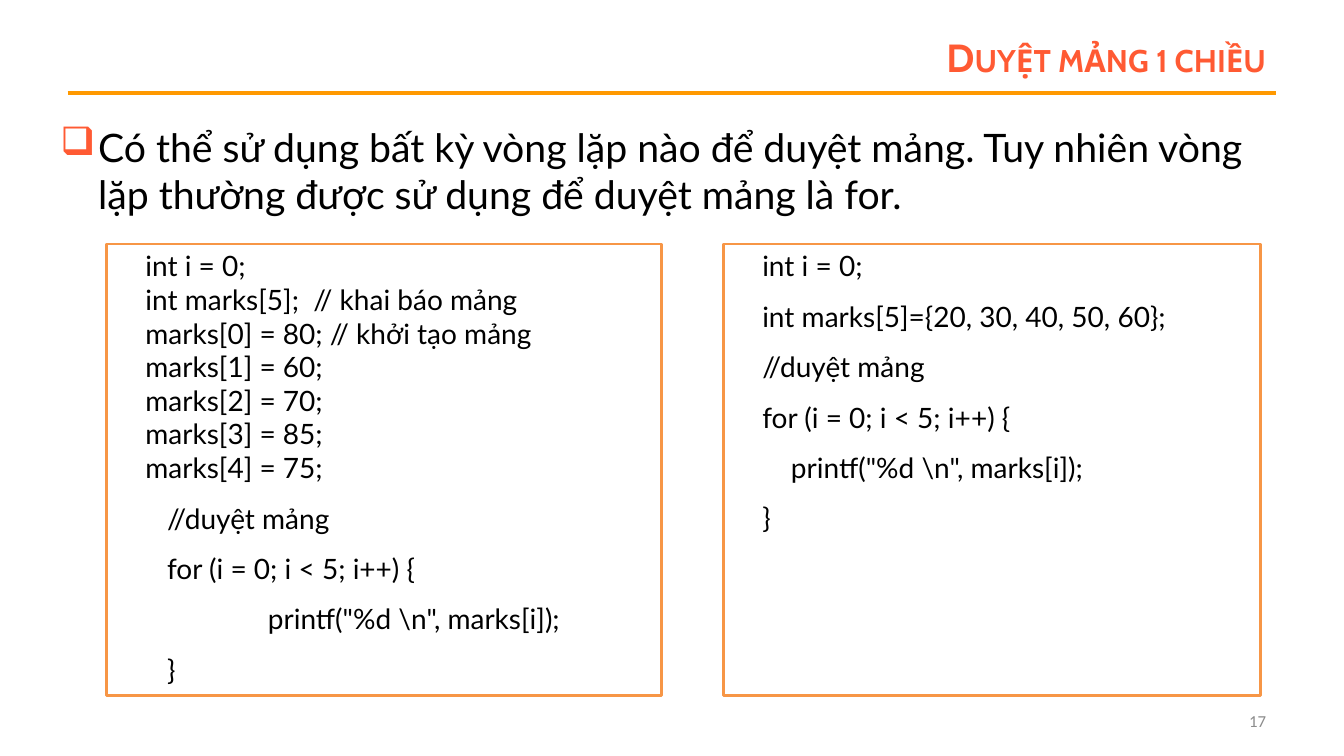
import pptx
import pptx.dml.color
import pptx.enum.shapes
import pptx.enum.text
import pptx.util
import lxml.etree

Pt = pptx.util.Pt
ALIGN = pptx.enum.text.PP_ALIGN
ANCHOR = pptx.enum.text.MSO_ANCHOR
DRAWING = "{http://schemas.openxmlformats.org/drawingml/2006/main}"

TITLE_FONT = {"name": "Cabin", "size": Pt(28), "bold": True}
BODY_FONT = {"name": "Lato", "size": Pt(28)}
CODE_FONT = {"name": "Lato", "size": Pt(20)}
NUMBER_FONT = {"name": "Calibri", "size": Pt(12)}

DECLARED_CODE = [
    ("    int i = 0;", 1),
    ("    int marks[5];  // khai báo mảng", 1),
    ("    marks[0] = 80; // khởi tạo mảng", 1),
    ("    marks[1] = 60;", 1),
    ("    marks[2] = 70;", 1),
    ("    marks[3] = 85;", 1),
    ("    marks[4] = 75;", 1),
    ("\t//duyệt mảng", 1.5),
    ("\tfor (i = 0; i < 5; i++) {", 1.5),
    ("        \t\tprintf(\"%d \\n\", marks[i]);", 1.5),
    ("\t}", 1.5),
]
INITIALIZED_CODE = [
    ("    int i = 0;", 1),
    ("    int marks[5]={20, 30, 40, 50, 60};", 1.5),
    ("    //duyệt mảng", 1.5),
    ("    for (i = 0; i < 5; i++) {", 1.5),
    ("        printf(\"%d \\n\", marks[i]);", 1.5),
    ("    }", 1.5),
]


def color(value):
    return pptx.dml.color.RGBColor.from_string(value)


def add_span(para, text, values, shade):
    span = para.add_run()
    span.text = text
    for name, value in values.items():
        setattr(span.font, name, value)
    span.font.color.rgb = color(shade)
    return span


def add_text_box(page, box, anchor, align):
    frame = page.shapes.add_textbox(*map(Pt, box)).text_frame
    frame.word_wrap = True
    frame.vertical_anchor = anchor
    para = frame.paragraphs[0]
    para.alignment = align
    return para


def add_header(page, box):
    left, top, width, height = box
    rule_left, rule_right, rule_y = left - 167.76, left + width, top + height + 6.5
    rule = page.shapes.add_connector(
        pptx.enum.shapes.MSO_CONNECTOR.STRAIGHT,
        Pt(rule_left), Pt(rule_y), Pt(rule_right), Pt(rule_y))
    rule.line.color.rgb = color("FF9900")
    rule.line.width = Pt(3)
    lxml.etree.SubElement(rule._element.spPr, DRAWING + "effectLst")

    para = add_text_box(page, box, ANCHOR.MIDDLE, ALIGN.RIGHT)
    span = add_span(para, "Duyệt mảng 1 chiều", TITLE_FONT, "FF5A33")
    span.font._element.set("cap", "small")


def add_bullet_text(page, box, text):
    para = add_text_box(page, box, ANCHOR.TOP, ALIGN.LEFT)
    properties = para._p.get_or_add_pPr()
    properties.set("marL", str(Pt(27)))
    properties.set("indent", str(Pt(-27)))
    bullet_color = lxml.etree.SubElement(properties, DRAWING + "buClr")
    lxml.etree.SubElement(bullet_color, DRAWING + "srgbClr", val="FF5A33")
    lxml.etree.SubElement(properties, DRAWING + "buChar", char="❑")
    add_span(para, text, BODY_FONT, "000000")


def add_code_panel(page, box, code):
    panel = page.shapes.add_shape(
        pptx.enum.shapes.MSO_SHAPE.RECTANGLE, *map(Pt, box))
    panel.shadow.inherit = False
    panel.fill.solid()
    panel.fill.fore_color.rgb = color("FFFFFF")
    panel.line.color.rgb = color("F79646")
    panel.line.width = Pt(2)
    frame = panel.text_frame
    frame.word_wrap = True
    frame.vertical_anchor = ANCHOR.TOP
    for index, (text, spacing) in enumerate(code):
        para = frame.add_paragraph() if index else frame.paragraphs[0]
        para.alignment = ALIGN.LEFT
        para.line_spacing = spacing
        add_span(para, text, CODE_FONT, "000000")


def add_page_number(page, box, number):
    para = add_text_box(page, box, ANCHOR.MIDDLE, ALIGN.RIGHT)
    add_span(para, number, NUMBER_FONT, "8C8C8C")


def main():
    deck = pptx.Presentation()
    deck.slide_width, deck.slide_height = Pt(960), Pt(540)
    page = deck.slides.add_slide(deck.slide_layouts[6])
    add_header(page, (216, 21.6, 695.52, 38.16))
    add_page_number(page, (687.6, 500.4, 223.92, 28.8), "17")
    add_bullet_text(
        page, (36, 84.24, 882, 77.76),
        "Có thể sử dụng bất kỳ vòng lặp nào để duyệt mảng. "
        "Tuy nhiên vòng lặp thường được sử dụng để duyệt mảng là for.")
    add_code_panel(page, (76.32, 174.24, 396, 322.56), DECLARED_CODE)
    add_code_panel(page, (516.96, 174.24, 383.76, 322.56), INITIALIZED_CODE)
    deck.save("out.pptx")


if __name__ == "__main__":
    main()
